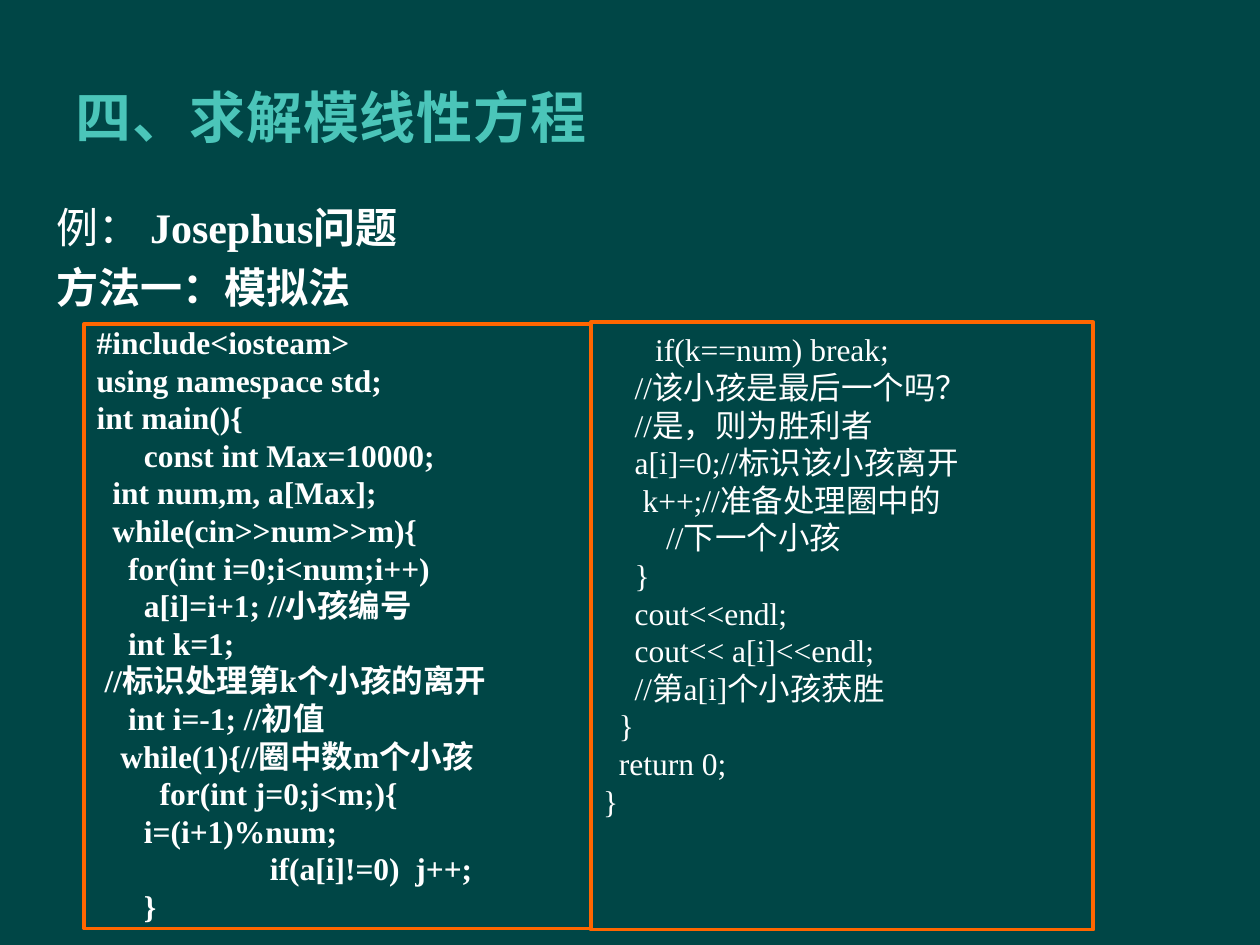
import pptx
import pptx.dml.color
import pptx.enum.shapes
import pptx.enum.text
import pptx.util

Cm, Pt = pptx.util.Cm, pptx.util.Pt
RGBColor = pptx.dml.color.RGBColor
ALIGN = pptx.enum.text.PP_ALIGN
ANCHOR = pptx.enum.text.MSO_ANCHOR

BACKGROUND = RGBColor(0x00, 0x46, 0x46)
TEAL = RGBColor(0x4B, 0xC5, 0xB9)
WHITE = RGBColor(0xFF, 0xFF, 0xFF)
ORANGE = RGBColor(0xFF, 0x66, 0x00)
SERIF, SANS, CHINESE = "Times New Roman", "Lato", "Noto Sans CJK SC"
COLUMN = Pt(4.5)  # width of one code column at 18 pt

# Each code line is (indent in columns, text)
SETUP_CODE = [
    (0, "#include<iosteam>"),
    (0, "using namespace std;"),
    (0, "int main(){"),
    (6, "const int Max=10000;"),
    (2, "int num,m, a[Max];"),
    (2, "while(cin>>num>>m){"),
    (4, "for(int i=0;i<num;i++)"),
    (6, "a[i]=i+1; //小孩编号"),
    (4, "int k=1;"),
    (1, "//标识处理第k个小孩的离开"),
    (4, "int i=-1; //初值"),
    (3, "while(1){//圈中数m个小孩"),
    (8, "for(int j=0;j<m;){"),
    (6, "i=(i+1)%num;"),
    (22, "if(a[i]!=0)  j++;"),
    (6, "}"),
]
RESULT_CODE = [
    (6.6, "if(k==num) break;"),
    (4, "//该小孩是最后一个吗？"),
    (4, "//是，则为胜利者"),
    (4, "a[i]=0;//标识该小孩离开"),
    (5, "k++;//准备处理圈中的"),
    (8, "//下一个小孩"),
    (4, "}"),
    (4, "cout<<endl;"),
    (4, "cout<< a[i]<<endl;"),
    (4, "//第a[i]个小孩获胜"),
    (2, "}"),
    (2, "return 0;"),
    (0, "}"),
]


def set_font(font, name, size, color, bold=None):
    font.name, font.size, font.bold = name, Pt(size), bold
    font.color.rgb = color


def add_paragraph(frame, index):
    return frame.paragraphs[0] if index == 0 else frame.add_paragraph()


def add_text_frame(slide, left, top, width, height):
    frame = slide.shapes.add_textbox(left, top, width, height).text_frame
    frame.word_wrap = True
    return frame


def add_title(slide, left, top, width, height):
    frame = add_text_frame(slide, left, top, width, height)
    frame.vertical_anchor = ANCHOR.MIDDLE
    paragraph = frame.paragraphs[0]
    set_font(paragraph.font, SANS, 32, TEAL, True)
    run = paragraph.add_run()
    run.text = "四、求解模线性方程"
    run.font._element.set("spc", "50")  # letter spacing of 0.5 pt


def add_introduction(slide, left, top, width, height):
    frame = add_text_frame(slide, left, top, width, height)
    lines = [
        (SERIF, [("例：", False), (" Josephus问题", True)]),
        (CHINESE, [("方法一：模拟法", True)]),
    ]
    for index, (font_name, runs) in enumerate(lines):
        paragraph = add_paragraph(frame, index)
        paragraph.space_before = Pt(5.5)
        set_font(paragraph.font, font_name, 24, WHITE)
        for text, bold in runs:
            run = paragraph.add_run()
            run.text = text
            run.font.bold = bold


def add_code_panel(slide, left, top, width, height, lines, bold, inset):
    panel = slide.shapes.add_shape(
        pptx.enum.shapes.MSO_SHAPE.RECTANGLE, left, top, width, height)
    panel.shadow.inherit = False
    panel.fill.background()
    panel.line.color.rgb = ORANGE
    panel.line.width = Pt(2.25)
    frame = panel.text_frame
    frame.word_wrap = True
    frame.vertical_anchor = ANCHOR.TOP
    frame.margin_top = inset
    for index, (columns, text) in enumerate(lines):
        paragraph = add_paragraph(frame, index)
        paragraph.text = text
        paragraph.alignment = ALIGN.JUSTIFY
        paragraph.line_spacing = 0.8
        paragraph.space_before = Pt(4.2)
        properties = paragraph._p.get_or_add_pPr()
        properties.set("marL", str(int(columns * COLUMN)))
        set_font(paragraph.font, SERIF, 18, WHITE, bold)


presentation = pptx.Presentation()
presentation.slide_width, presentation.slide_height = Cm(25.4), Cm(19.05)
slide = presentation.slides.add_slide(presentation.slide_layouts[6])
slide.background.fill.solid()
slide.background.fill.fore_color.rgb = BACKGROUND

# Heading and introduction
add_title(slide, Cm(1.27), Cm(0.76), Cm(21.59), Cm(3.18))
add_introduction(slide, Cm(0.89), Cm(3.94), Cm(23.8), Cm(14.81))

# Program in two adjoining panels
add_code_panel(slide, Cm(1.7), Cm(6.53), Cm(10.21), Cm(12.19),
               SETUP_CODE, True, Cm(0.13))
add_code_panel(slide, Cm(11.91), Cm(6.5), Cm(10.13), Cm(12.24),
               RESULT_CODE, False, Cm(0.31))

presentation.save("out.pptx")
